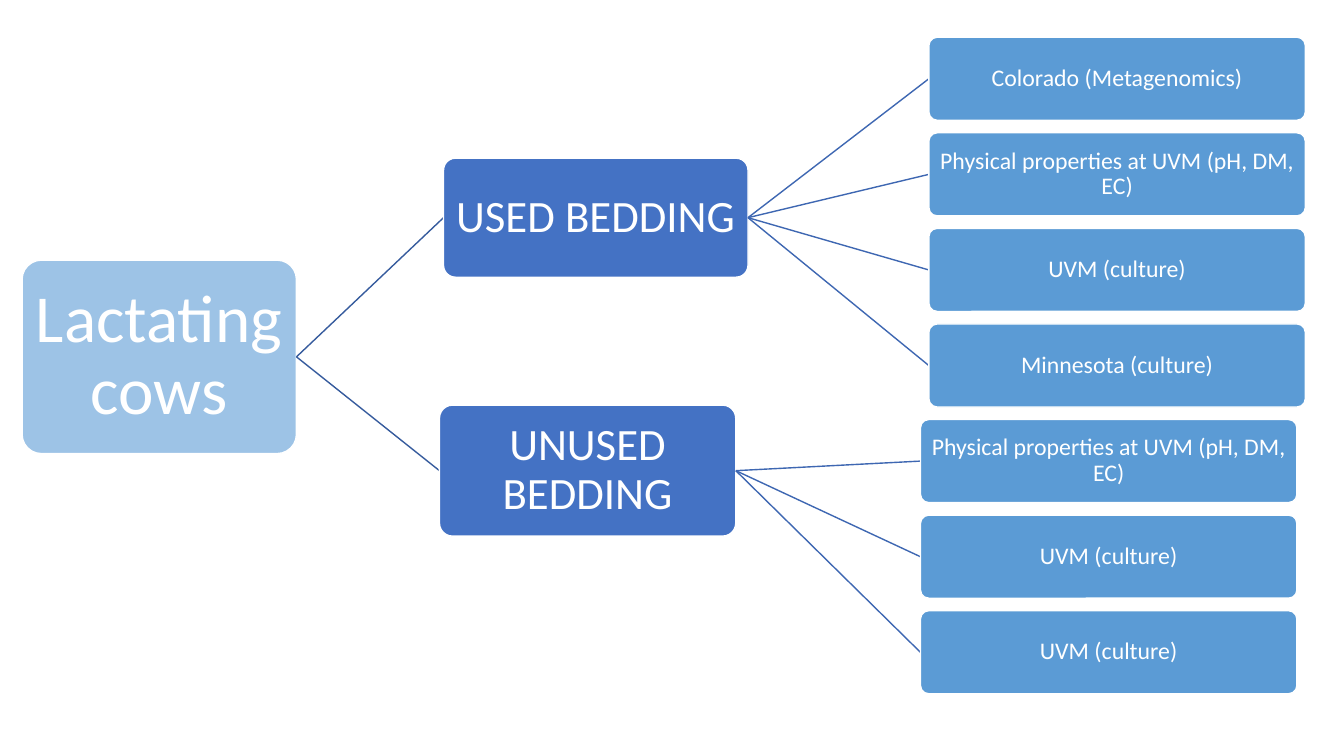
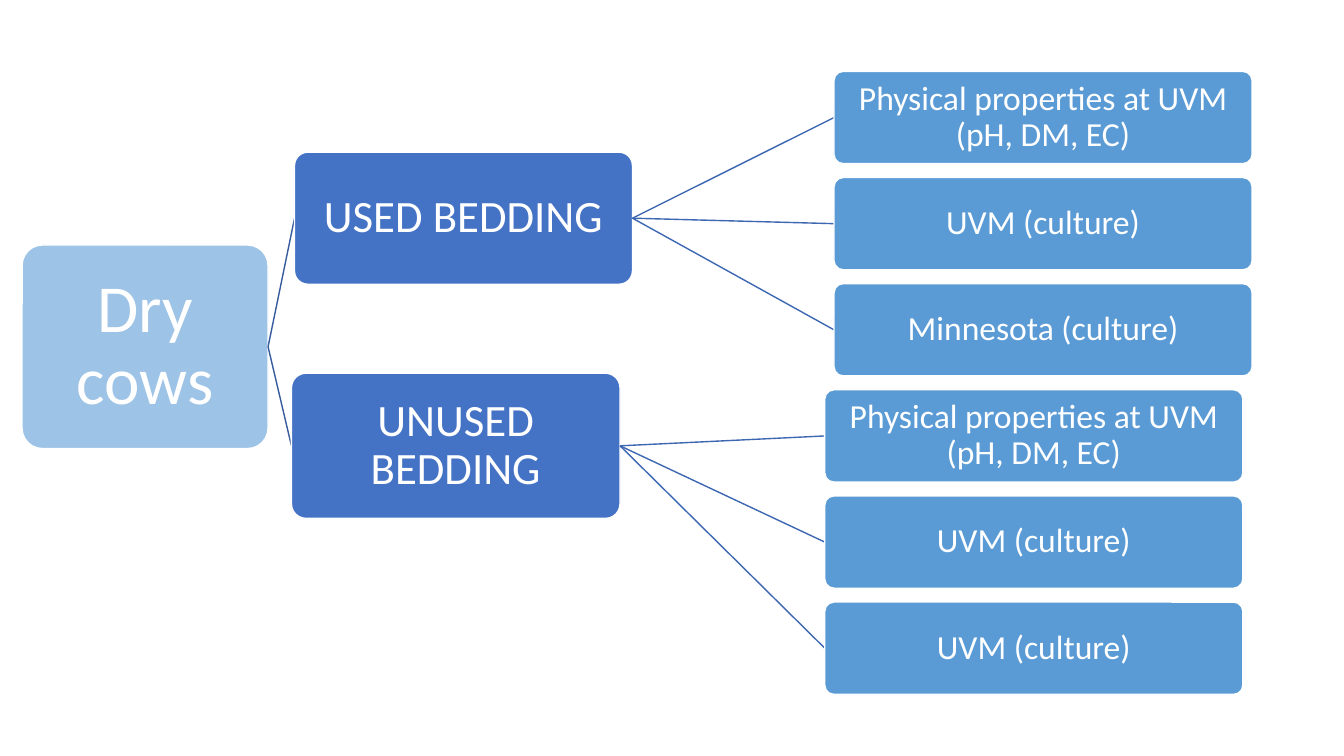
from dataclasses import dataclass

from lxml.etree import SubElement
from pptx import Presentation
from pptx.dml.color import RGBColor
from pptx.enum.shapes import MSO_CONNECTOR as Connector, MSO_SHAPE as Shape
from pptx.enum.text import MSO_ANCHOR as Anchor, PP_ALIGN as Align
from pptx.oxml.ns import qn
from pptx.util import Pt


@dataclass(frozen=True)
class Level:
    fill: str
    size: float
    inset: float


@dataclass(frozen=True)
class Theme:
    font: str = "Calibri"
    ink: str = "FFFFFF"
    herd_link: str = "365B9D"
    test_link: str = "3E67B2"
    herd: Level = Level("9DC3E6", 48, 2.4)
    bedding: Level = Level("4472C4", 32, 1.6)
    test_fill: str = "5B9BD5"
    test_inset: float = 1
    corner: float = 0.1
    line_width: float = 1
    line_spacing: float = 0.9
    test_gap: float = 0.15
    test_aspect: float = 4.53


THEME = Theme()


@dataclass(frozen=True)
class Box:
    left: float
    top: float
    width: float
    height: float

    @property
    def right(self):
        return self.left + self.width

    @property
    def middle(self):
        return self.top + self.height / 2

    def inner(self, left, top, width, height):
        return Box(self.left + left, self.top + top, width, height)


@dataclass(frozen=True)
class Bedding:
    label: str
    place: tuple
    tests: tuple
    shift: float = 0


@dataclass(frozen=True)
class Herd:
    label: str
    region: Box
    place: tuple
    test_size: float
    beddings: tuple


def rgb(code):
    return RGBColor.from_string(code)


def add_node(slide, box, label, level):
    node = slide.shapes.add_shape(
        Shape.ROUNDED_RECTANGLE, Pt(box.left), Pt(box.top), Pt(box.width), Pt(box.height))
    node.adjustments[0] = THEME.corner
    node.shadow.inherit = False
    node.fill.solid()
    node.fill.fore_color.rgb = rgb(level.fill)
    node.line.color.rgb = rgb(THEME.ink)
    node.line.width = Pt(THEME.line_width)
    frame = node.text_frame
    frame.word_wrap = True
    frame.vertical_anchor = Anchor.MIDDLE
    frame.margin_left = frame.margin_right = Pt(level.inset)
    frame.margin_top = frame.margin_bottom = Pt(level.inset)
    caption = frame.paragraphs[0]
    caption.text = label
    caption.alignment = Align.CENTER
    caption.line_spacing = THEME.line_spacing
    caption.font.name = THEME.font
    caption.font.size = Pt(level.size)
    caption.font.color.rgb = rgb(THEME.ink)


def add_link(slide, parent, child, color):
    link = slide.shapes.add_connector(
        Connector.STRAIGHT, Pt(parent.right), Pt(parent.middle), Pt(child.left), Pt(child.middle))
    link.line.color.rgb = rgb(color)
    link.line.width = Pt(THEME.line_width)
    SubElement(link._element.spPr, qn("a:effectLst"))


def add_bedding(slide, herd_box, bedding_box, bedding, test_boxes, test_level):
    add_link(slide, herd_box, bedding_box, THEME.herd_link)
    add_node(slide, bedding_box, bedding.label, THEME.bedding)
    for test, test_box in zip(bedding.tests, test_boxes):
        add_link(slide, bedding_box, test_box, THEME.test_link)
        add_node(slide, test_box, test, test_level)


def add_herd_tree(slide, region, herd):
    herd_box = region.inner(*herd.place)
    add_node(slide, herd_box, herd.label, THEME.herd)
    count = sum(len(bedding.tests) for bedding in herd.beddings)
    test_height = region.height / (count + THEME.test_gap * (count - 1))
    test_width = test_height * THEME.test_aspect
    pitch = test_height * (1 + THEME.test_gap)
    test_level = Level(THEME.test_fill, herd.test_size, THEME.test_inset)
    row = 0
    for bedding in herd.beddings:
        test_left = region.width - test_width - bedding.shift
        test_boxes = [region.inner(test_left, (row + i) * pitch, test_width, test_height)
                      for i in range(len(bedding.tests))]
        add_bedding(slide, herd_box, region.inner(*bedding.place), bedding, test_boxes, test_level)
        row += len(bedding.tests)


PHYSICAL = "Physical properties at UVM (pH, DM, EC)"
CULTURE = "UVM (culture)"
MINNESOTA = "Minnesota (culture)"
UNUSED_TESTS = (PHYSICAL, CULTURE, CULTURE)

HERDS = (
    Herd("Lactating cows", Box(15.8, 26.6, 916.6, 469), (0, 159.2, 196, 138.2), 17, (
        Bedding("USED BEDDING", (301, 86.4, 217.5, 85),
                ("Colorado (Metagenomics)", PHYSICAL, CULTURE, MINNESOTA)),
        Bedding("UNUSED BEDDING", (298.1, 262.8, 211.7, 93.6), UNUSED_TESTS, 6),
    )),
    Herd("Dry cows", Box(15.8, 51, 878.6, 445), (0, 124, 175.7, 145.4), 24, (
        Bedding("USED BEDDING", (194.6, 57.7, 241.4, 94.3), (PHYSICAL, CULTURE, MINNESOTA)),
        Bedding("UNUSED BEDDING", (192.4, 215.6, 234.7, 103.7), UNUSED_TESTS, 6.6),
    )),
)

deck = Presentation()
deck.slide_width = Pt(960)
deck.slide_height = Pt(540)
blank_layout = deck.slide_layouts[6]
for herd in HERDS:
    add_herd_tree(deck.slides.add_slide(blank_layout), herd.region, herd)
deck.save("out.pptx")
